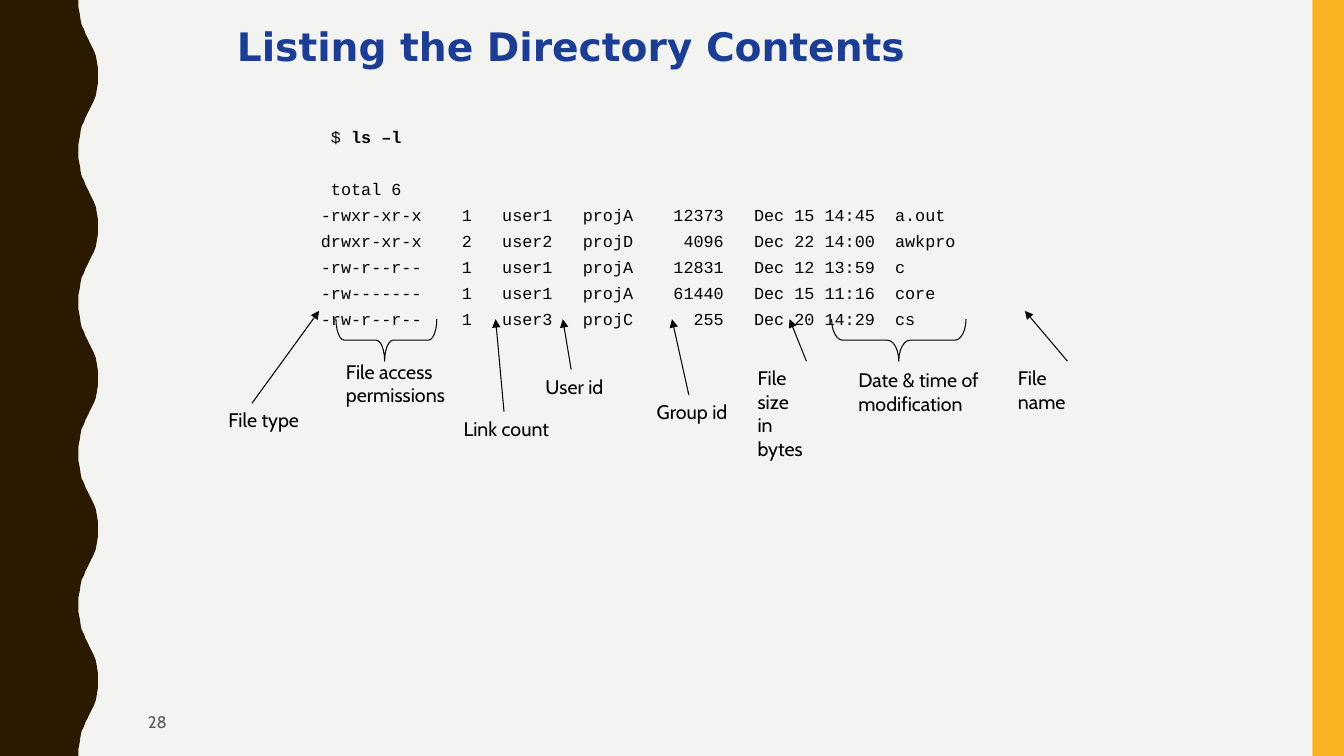
from lxml.etree import SubElement
from pptx import Presentation
from pptx.dml.color import RGBColor
from pptx.enum.shapes import MSO_CONNECTOR, MSO_SHAPE
from pptx.enum.text import MSO_ANCHOR, MSO_AUTO_SIZE, PP_ALIGN
from pptx.oxml.ns import qn
from pptx.util import Pt

COLORS = {
    "background": "F3F3F2",
    "wave": "2A1A00",
    "stripe": "F8B323",
    "title": "1C3D94",
    "text": "000000",
    "number": "595959",
}
WAVE_EDGE = [(56, 0), (56, 5), (57, 10), (57.6, 14.4), (58.4, 18), (60, 21), (61, 24), (62.6, 27),
             (64, 30), (65.5, 33), (67, 36), (68.4, 39.6), (69.2, 44), (70, 49), (70, 54)]
WAVE_PERIOD = 108
LISTING = [
    " total 6",
    "-rwxr-xr-x    1   user1   projA    12373   Dec 15 14:45  a.out",
    "drwxr-xr-x    2   user2   projD     4096   Dec 22 14:00  awkpro",
    "-rw-r--r--    1   user1   projA    12831   Dec 12 13:59  c",
    "-rw-------    1   user1   projA    61440   Dec 15 11:16  core",
    "-rw-r--r--    1   user3   projC      255   Dec 20 14:29  cs",
]
# text, left, top, width, height, arrow (start x, tip x, tip y)
LABELS = [
    ("File type", 0, 93, 72, 24, (24, 72, 27)),
    ("File access permissions", 84, 58.5, 96, 41, None),
    ("Link count", 168, 99, 78.5, 24, (204, 198, 33)),
    ("User id", 226.5, 69, 59, 24, (252, 246, 33)),
    ("Group id", 306, 87, 68, 24, (336, 324, 33)),
    ("File size\nin bytes", 378, 63, 60, 41, (420, 408, 33)),
    ("Date & time of modification", 450, 64.5, 114, 41, None),
    ("File name", 564, 63, 69, 24, (606.5, 576, 27)),
]
# left, top, width, curl, tip position
BRACES = [(84, 33, 72, 0.2, 0.483), (438, 33, 96, 0.267, 0.5)]
BRACE_HEIGHT = 30


def color(name):
    return RGBColor.from_string(COLORS[name])


def style(paragraph, font_name, size, color_name, bold=False):
    paragraph.alignment = PP_ALIGN.LEFT
    font = paragraph.font
    font.name, font.size, font.bold = font_name, Pt(size), bold
    font.color.rgb = color(color_name)


def place(shape, left, top, width, height):
    shape.left, shape.top, shape.width, shape.height = Pt(left), Pt(top), Pt(width), Pt(height)
    frame = shape.text_frame
    frame.word_wrap = True
    frame.auto_size = MSO_AUTO_SIZE.NONE
    frame.vertical_anchor = MSO_ANCHOR.TOP
    return frame


def paint(shape, color_name):
    shape.shadow.inherit = False
    shape.fill.solid()
    shape.fill.fore_color.rgb = color(color_name)
    shape.line.fill.background()


def add_text(slide, text, left, top, width, height, size, color_name):
    box = slide.shapes.add_textbox(0, 0, 0, 0)
    frame = place(box, left, top, width, height)
    frame.text = text
    for paragraph in frame.paragraphs:
        style(paragraph, "Cabin", size, color_name)
    return frame


def draw_decoration(slide, width, height):
    slide.background.fill.solid()
    slide.background.fill.fore_color.rgb = color("background")
    half_wave = WAVE_EDGE + [(x, WAVE_PERIOD - y) for x, y in WAVE_EDGE[-2::-1]]
    points = [(Pt(x), Pt(y + start))
              for start in range(0, height, WAVE_PERIOD) for x, y in half_wave]
    builder = slide.shapes.build_freeform(0, 0)
    builder.add_line_segments(points + [(0, Pt(height))], close=True)
    paint(builder.convert_to_shape(), "wave")
    stripe = slide.shapes.add_shape(
        MSO_SHAPE.RECTANGLE, Pt(width - 22.5), 0, Pt(22.5), Pt(height))
    paint(stripe, "stripe")


def draw_title(slide, left, top, width, height):
    frame = place(slide.shapes.title, left, top, width, height)
    frame.text = "Listing the Directory Contents"
    style(frame.paragraphs[0], "DejaVu Sans", 28, "title", True)


def draw_listing(slide, left, top, width, height):
    frame = place(slide.placeholders[1], left, top, width, height)
    command = frame.paragraphs[0]
    command.add_run().text = " $ "
    typed = command.add_run()
    typed.text = "ls –l"
    typed.font.bold = True
    for line in LISTING:
        frame.add_paragraph().text = line
    for index, paragraph in enumerate(frame.paragraphs):
        style(paragraph, "Courier New", 12, "text")
        paragraph.line_spacing = 0.8
        paragraph.space_before = Pt(25.6 if index == 1 else 7)
        properties = paragraph._p.get_or_add_pPr()
        properties.set("marL", str(Pt(18)))
        properties.set("indent", str(Pt(-18)))
        bullet = properties.makeelement(qn("a:buNone"), {})
        properties.find(qn("a:defRPr")).addprevious(bullet)


def draw_arrow(slide, start_x, start_y, tip_x, tip_y):
    arrow = slide.shapes.add_connector(
        MSO_CONNECTOR.STRAIGHT, Pt(start_x), Pt(start_y), Pt(tip_x), Pt(tip_y))
    arrow.line.color.rgb = color("text")
    arrow.line.width = Pt(0.75)
    SubElement(arrow.line._get_or_add_ln(), qn("a:tailEnd"), type="triangle")
    SubElement(arrow._element.spPr, qn("a:effectLst"))


def draw_brace(slide, left, top, width, curl, tip):
    shift = (width - BRACE_HEIGHT) / 2
    brace = slide.shapes.add_shape(
        MSO_SHAPE.LEFT_BRACE, Pt(left + shift), Pt(top - shift), Pt(BRACE_HEIGHT), Pt(width))
    brace.rotation = 270
    brace.adjustments[0], brace.adjustments[1] = curl, tip
    brace.shadow.inherit = False
    brace.fill.background()
    brace.line.color.rgb = color("text")
    brace.line.width = Pt(0.75)


def draw_annotations(slide, left, top):
    for brace_left, brace_top, width, curl, tip in BRACES:
        draw_brace(slide, left + brace_left, top + brace_top, width, curl, tip)
    for text, label_left, label_top, width, height, arrow in LABELS:
        add_text(slide, text, left + label_left, top + label_top, width, height, 14, "text")
        if arrow:
            start_x, tip_x, tip_y = arrow
            draw_arrow(slide, left + start_x, top + label_top, left + tip_x, top + tip_y)


def draw_number(slide, left, top, width, height):
    frame = add_text(slide, "28", left, top, width, height, 12, "number")
    frame.vertical_anchor = MSO_ANCHOR.MIDDLE


def main():
    presentation = Presentation()
    presentation.slide_width, presentation.slide_height = Pt(960), Pt(540)
    slide = presentation.slides.add_slide(presentation.slide_layouts[1])
    draw_decoration(slide, 960, 540)
    draw_title(slide, 162, 12, 630, 60)
    draw_listing(slide, 222, 90, 612, 390)
    draw_annotations(slide, 156, 195)
    draw_number(slide, 98.5, 502, 184, 27)
    presentation.save("out.pptx")


if __name__ == "__main__":
    main()
